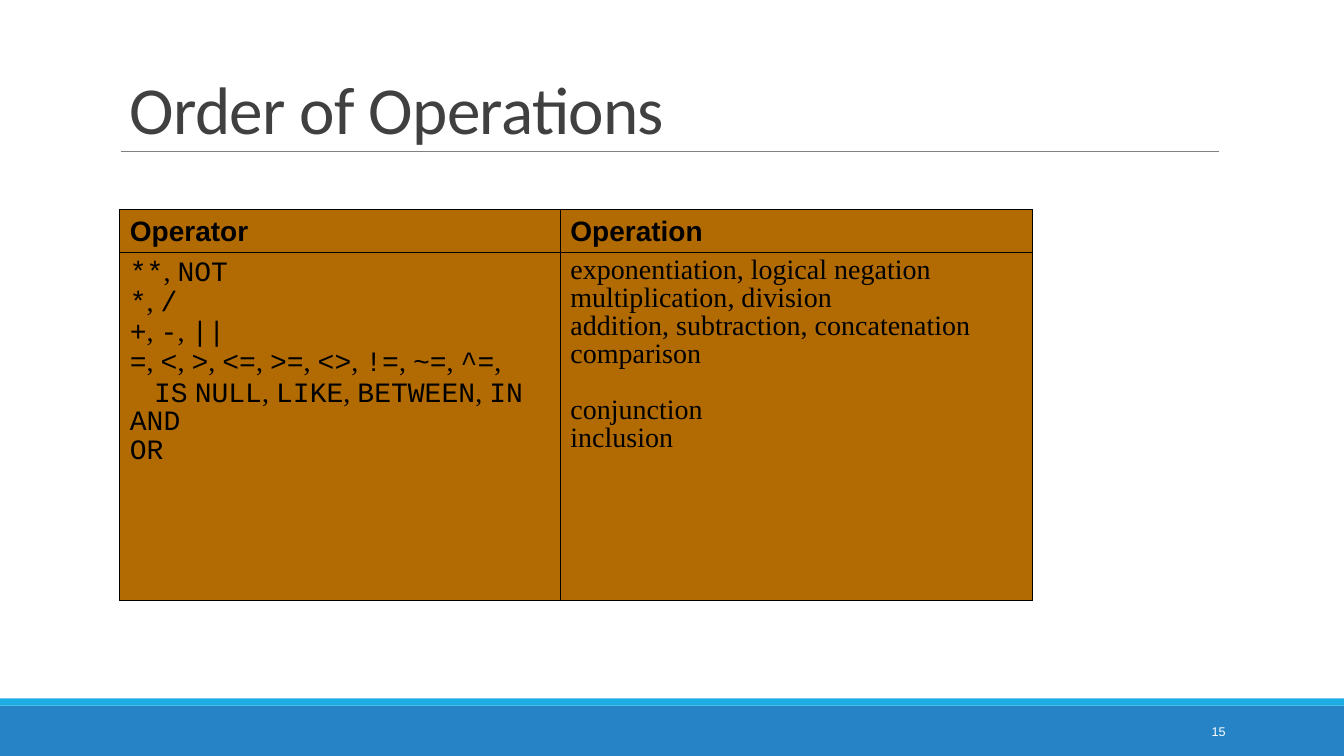
"""Build the slide on the order of operations."""
from dataclasses import dataclass
from itertools import groupby

from lxml.etree import SubElement
from pptx import Presentation
from pptx.dml.color import RGBColor
from pptx.enum.shapes import MSO_CONNECTOR as Link, MSO_SHAPE as Kind
from pptx.enum.text import MSO_ANCHOR as Anchor, PP_ALIGN as Align
from pptx.oxml.ns import qn
from pptx.util import Cm, Pt

WHITE = RGBColor(0xFF, 0xFF, 0xFF)
BLACK = RGBColor(0, 0, 0)
GRAY = RGBColor(0x80, 0x80, 0x80)
DARK = RGBColor(0x40, 0x40, 0x40)
BLUE = RGBColor(0x26, 0x83, 0xC6)
CYAN = RGBColor(0x1C, 0xAD, 0xE4)
BROWN = RGBColor(0xB2, 0x6B, 0x02)
CODE, SERIF, SANS = "Courier New", "Times New Roman", "Arial"


@dataclass
class Bar:
    top: float
    height: float
    color: RGBColor


@dataclass
class Label:
    text: str
    box: tuple[float, float, float, float]
    font: str
    size: float
    color: RGBColor
    anchor: Anchor
    align: Align = Align.LEFT
    lead: float = 1.0
    track: int = 0


@dataclass
class Entry:
    code: str
    sense: str
    gap: float = 0


BARS = [Bar(17.78, 1.27, BLUE), Bar(17.6, 0.18, CYAN)]
LABELS = [
    Label("15", (27.51, 17.93, 3.63, 1.02), SANS, 9, WHITE, Anchor.MIDDLE, Align.RIGHT),
    Label("Order of Operations", (3.02, 0.71, 31.6, 3.15), "Calibri", 48, DARK,
          Anchor.BOTTOM, lead=0.85, track=-50),
]
HEADS = ["Operator", "Operation"]
ENTRIES = [
    Entry("**, NOT", "exponentiation, logical negation"),
    Entry("*, /", "multiplication, division"),
    Entry("+, -, ||", "addition, subtraction, concatenation"),
    Entry("=, <, >, <=, >=, <>, !=, ~=, ^=,\nIS NULL, LIKE, BETWEEN, IN", "comparison", 20),
    Entry("AND", "conjunction"),
    Entry("OR", "inclusion"),
]
WIDTHS = [11.1, 11.9]
HEIGHTS = [1.08, 8.77]


def add_bar(slide, bar: Bar) -> None:
    shape = slide.shapes.add_shape(Kind.RECTANGLE, 0, Cm(bar.top), Cm(33.87), Cm(bar.height))
    shape.shadow.inherit = False
    shape.fill.solid()
    shape.fill.fore_color.rgb = bar.color
    shape.line.fill.background()


def add_rule(slide) -> None:
    rule = slide.shapes.add_connector(Link.STRAIGHT, Cm(3.05), Cm(3.82), Cm(30.73), Cm(3.82))
    rule.line.color.rgb = GRAY
    rule.line.width = Pt(0.5)
    SubElement(rule._element.spPr, qn("a:effectLst"))


def set_font(font, name: str, size: float, color: RGBColor, bold: bool = False) -> None:
    font.name, font.size, font.bold = name, Pt(size), bold
    font.color.rgb = color


def add_label(slide, label: Label) -> None:
    frame = slide.shapes.add_textbox(*map(Cm, label.box)).text_frame
    frame.word_wrap = True
    frame.vertical_anchor = label.anchor
    para = frame.paragraphs[0]
    para.alignment, para.line_spacing = label.align, label.lead
    set_font(para.font, label.font, label.size, label.color)
    run = para.add_run()
    run.text = label.text
    if label.track:
        run._r.get_or_add_rPr().set("spc", str(label.track))


def style_cell(cell) -> None:
    props = cell._tc.get_or_add_tcPr()
    for side in ("lnL", "lnR", "lnT", "lnB"):
        edge = SubElement(props, qn(f"a:{side}"), w=str(Pt(0.75)))
        fill = SubElement(edge, qn("a:solidFill"))
        SubElement(fill, qn("a:srgbClr"), val=str(BLACK))
    cell.fill.solid()
    cell.fill.fore_color.rgb = BROWN


def add_para(cell, first: bool, font: str, bold: bool = False):
    frame = cell.text_frame
    para = frame.paragraphs[0] if first else frame.add_paragraph()
    para.line_spacing = 0.9
    props = para._p.get_or_add_pPr()
    props.set("marL", str(Cm(0.61)))
    props.set("indent", str(-Cm(0.61)))
    set_font(para.font, font, 20, BLACK, bold)
    return para


def add_code(para, text: str) -> None:
    for num, line in enumerate(text.split("\n")):
        if num:
            para.add_line_break()
        for plain, part in groupby(line, lambda char: char in ", "):
            run = para.add_run()
            run.text = "".join(part)
            run.font.name = SERIF if plain else CODE


def add_grid(slide) -> None:
    frame = slide.shapes.add_table(2, 2, Cm(3.02), Cm(5.28), Cm(sum(WIDTHS)), Cm(sum(HEIGHTS)))
    table = frame.table
    table.first_row = table.horz_banding = False
    for col, width in zip(table.columns, WIDTHS):
        col.width = Cm(width)
    for row, height in zip(table.rows, HEIGHTS):
        row.height = Cm(height)
    for cell in table.iter_cells():
        style_cell(cell)
    for num, head in enumerate(HEADS):
        cell = table.cell(0, num)
        cell.vertical_anchor = Anchor.BOTTOM
        add_para(cell, True, SANS, True).add_run().text = head
    for num, entry in enumerate(ENTRIES):
        add_code(add_para(table.cell(1, 0), num == 0, CODE), entry.code)
        sense = add_para(table.cell(1, 1), num == 0, SERIF)
        sense.add_run().text = entry.sense
        if entry.gap:
            sense.space_after = Pt(entry.gap)


def main() -> None:
    deck = Presentation()
    deck.slide_width, deck.slide_height = Cm(33.87), Cm(19.05)
    slide = deck.slides.add_slide(deck.slide_layouts[6])
    for bar in BARS:
        add_bar(slide, bar)
    add_rule(slide)
    for label in LABELS:
        add_label(slide, label)
    add_grid(slide)
    deck.save("out.pptx")


if __name__ == "__main__":
    main()
